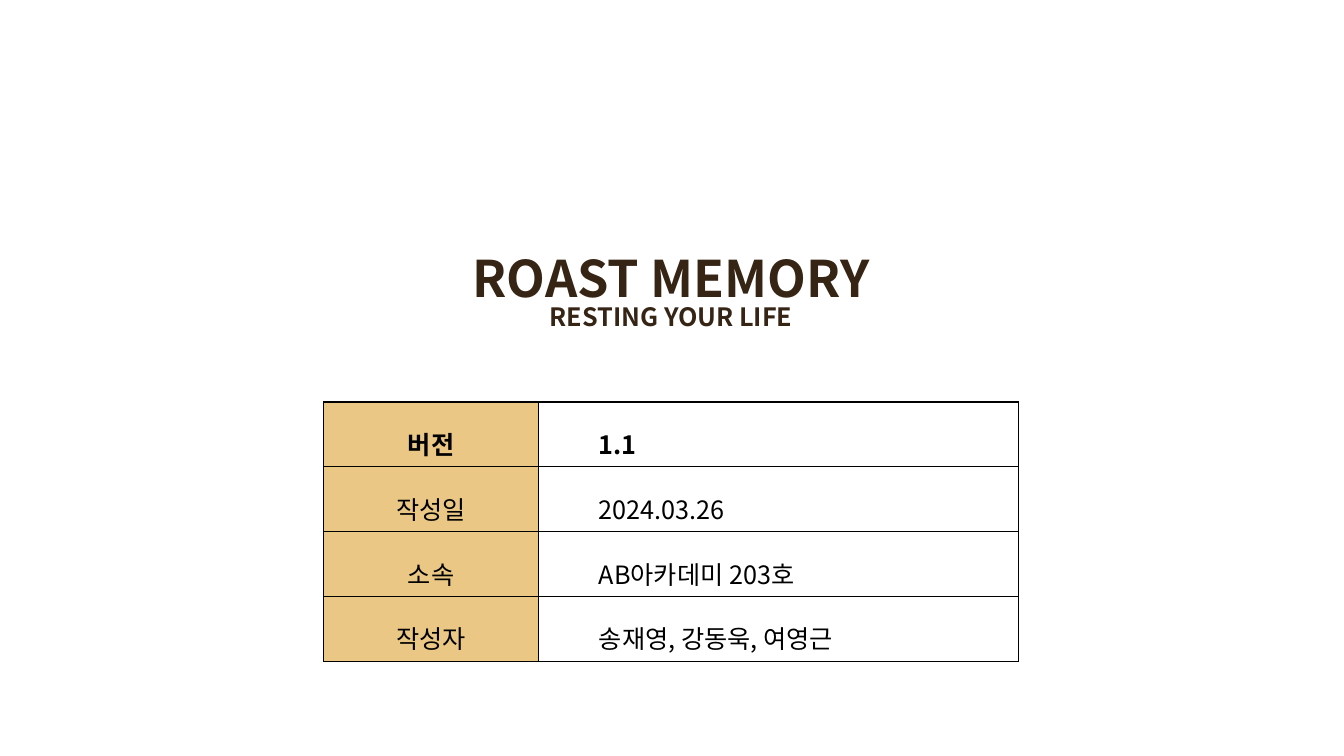
from lxml import etree
from pptx import Presentation
from pptx.dml.color import RGBColor
from pptx.enum import text
from pptx.oxml import ns
from pptx.util import Cm, Pt

BLACK = RGBColor(0x00, 0x00, 0x00)
WHITE = RGBColor(0xFF, 0xFF, 0xFF)
COFFEE = RGBColor(0x36, 0x24, 0x15)
LATTE = RGBColor(0xEA, 0xC7, 0x84)
FONT = "Noto Sans CJK KR"

TITLE_LINES = [("ROAST MEMORY", 36), ("RESTING YOUR LIFE", 18)]
DETAILS = [
    ("버전", "1.1"),
    ("작성일", "2024.03.26"),
    ("소속", "AB아카데미 203호"),
    ("작성자", "송재영, 강동욱, 여영근"),
]


def set_all(target, values):
    for name, value in values.items():
        setattr(target, name, value)


def add_span(para, words, size, color, bold):
    span = para.add_run()
    span.text = words
    set_all(span.font, {"name": FONT, "size": Pt(size), "bold": bold})
    span.font.color.rgb = color
    # Hangul takes its typeface from the East Asian font
    east_asian = etree.SubElement(span.font._element, ns.qn("a:ea"))
    east_asian.set("typeface", FONT)


def add_title(page):
    box = page.shapes.add_textbox(Cm(11.46), Cm(6.4), Cm(10.9), Cm(3.33))
    frame = box.text_frame
    set_all(frame, {"word_wrap": False,
                    "auto_size": text.MSO_AUTO_SIZE.SHAPE_TO_FIT_TEXT})
    for index, (words, size) in enumerate(TITLE_LINES):
        para = frame.add_paragraph() if index else frame.paragraphs[0]
        set_all(para, {"alignment": text.PP_ALIGN.CENTER, "line_spacing": 0.8})
        add_span(para, words, size, COFFEE, True)


def add_borders(cell):
    properties = cell._tc.get_or_add_tcPr()
    for index, side in enumerate(("a:lnL", "a:lnR", "a:lnT", "a:lnB")):
        line = etree.Element(ns.qn(side), w=str(Pt(1)))
        fill = etree.SubElement(line, ns.qn("a:solidFill"))
        etree.SubElement(fill, ns.qn("a:srgbClr"), val=str(BLACK))
        properties.insert(index, line)


def fill_cell(cell, words, color, bold, is_label):
    cell.fill.solid()
    cell.fill.fore_color.rgb = color
    add_borders(cell)
    para = cell.text_frame.paragraphs[0]
    para.line_spacing = 1.5
    if is_label:
        para.alignment = text.PP_ALIGN.CENTER
    else:
        para.level = 1
        indent = para._p.get_or_add_pPr()
        indent.set("marL", str(Cm(1.27)))
        indent.set("indent", "0")
    add_span(para, words, 18, BLACK, bold)


def add_details(page):
    frame = page.shapes.add_table(len(DETAILS), 2, Cm(8.16), Cm(10.13),
                                  Cm(17.5), Cm(6.1))
    table = frame.table
    set_all(table, {"first_row": False, "horz_banding": False})
    for column, width in zip(table.columns, (5.41, 12.09)):
        column.width = Cm(width)
    for row, (label, value) in enumerate(DETAILS):
        bold = row == 0
        fill_cell(table.cell(row, 0), label, LATTE, bold, True)
        fill_cell(table.cell(row, 1), value, WHITE, bold, False)


def main():
    deck = Presentation()
    set_all(deck, {"slide_width": Cm(33.87), "slide_height": Cm(19.05)})
    page = deck.slides.add_slide(deck.slide_layouts[6])
    # Project details
    add_details(page)
    # Project name and motto
    add_title(page)
    deck.save("out.pptx")


if __name__ == "__main__":
    main()
